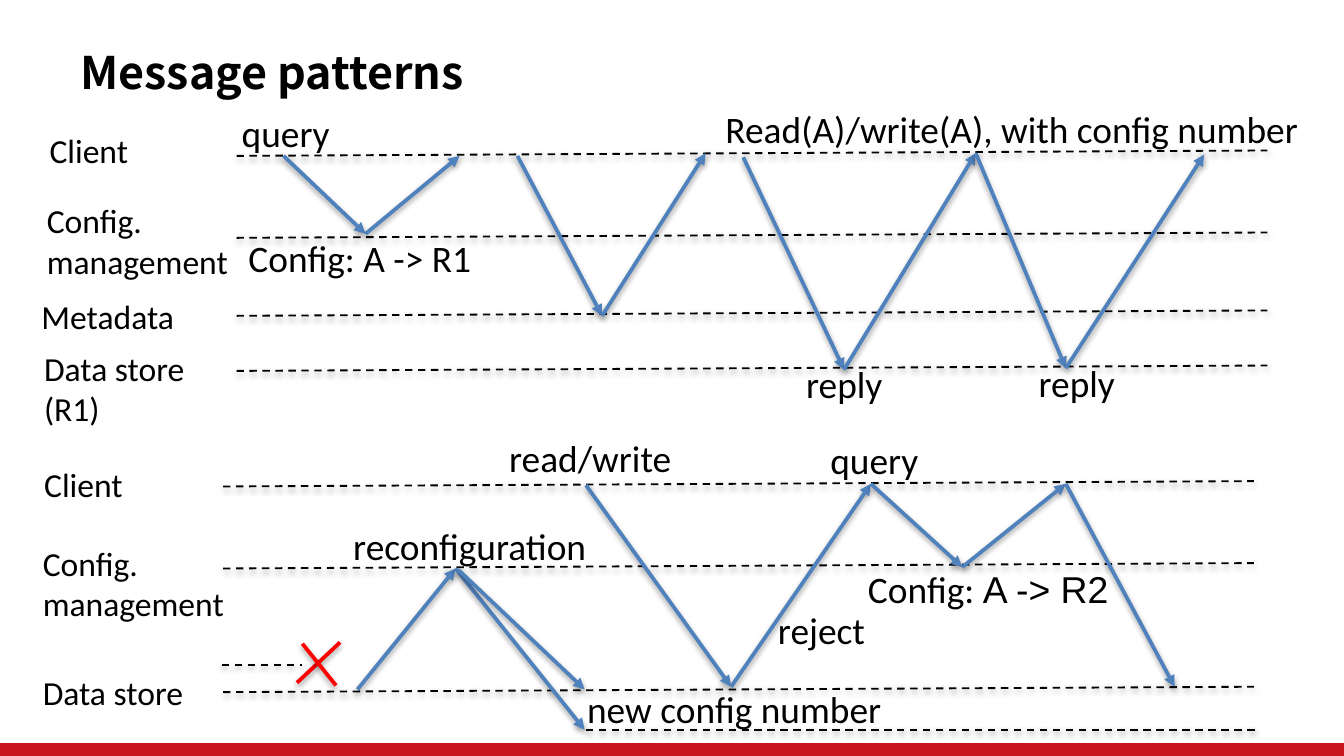
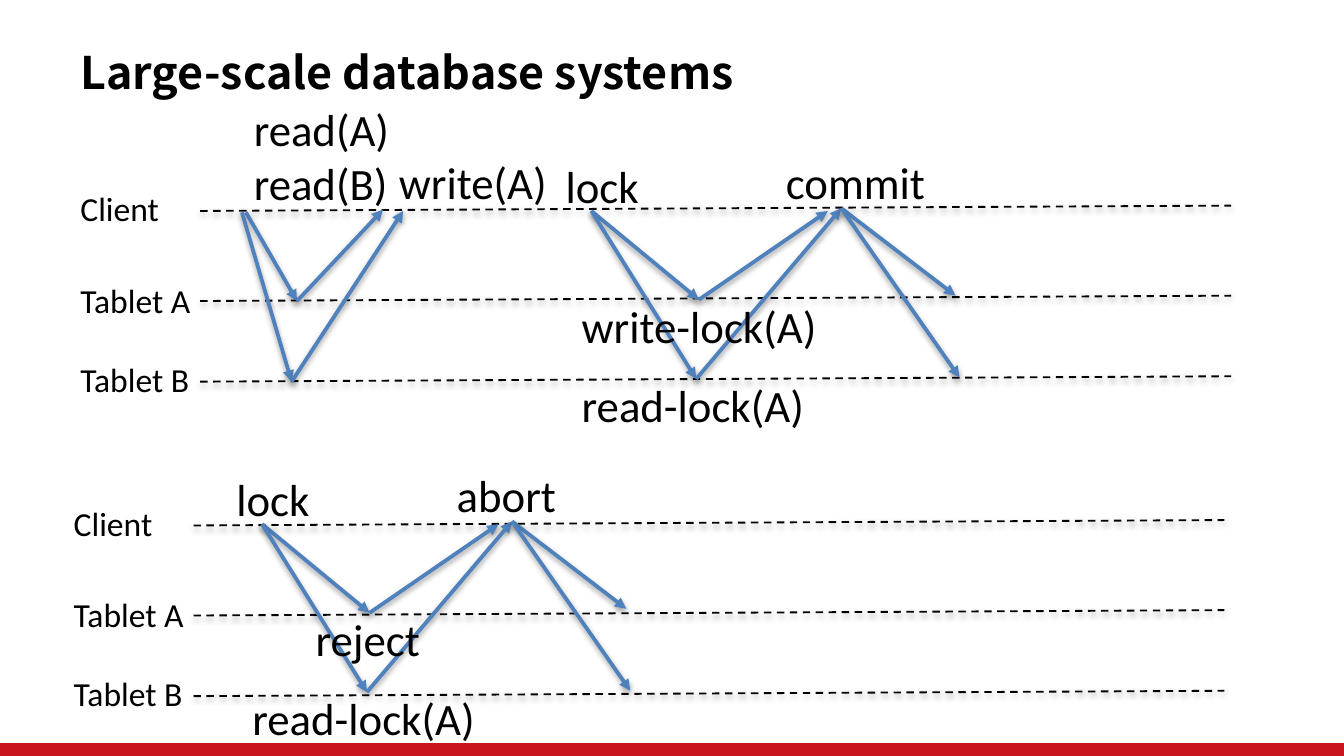
from itertools import pairwise

from lxml.etree import SubElement
from pptx import Presentation
from pptx.dml.color import RGBColor
from pptx.enum.dml import MSO_LINE
from pptx.enum.shapes import MSO_CONNECTOR, MSO_SHAPE
from pptx.enum.text import MSO_ANCHOR, MSO_AUTO_SIZE
from pptx.oxml.ns import qn
from pptx.util import Cm, Pt

BLACK = RGBColor(0x00, 0x00, 0x00)
BLUE = RGBColor(0x4F, 0x81, 0xBD)
RED = RGBColor(0xFF, 0x00, 0x00)
BAND = RGBColor(0xC9, 0x15, 0x1E)

TITLE_FONT = "Noto Sans CJK SC"
BODY_FONT = "Calibri"
LABEL = 18
UNIT = 2.54  # centimetres per drawing unit; a slide is 10 units wide
WIDE, HIGH = 10, 5.625
SPAN, RISE = 7.67, 0.04


def size(units):
    return Cm(units * UNIT)


def style(frame, points, font, bold=False):
    for para in frame.paragraphs:
        for run in para.runs:
            run.font.size = Pt(points)
            run.font.name = font
            run.font.bold = bold
            run.font.color.rgb = BLACK


def add_slide(deck, title):
    """Add a blank slide with the red footer band and a title."""
    slide = deck.slides.add_slide(deck.slide_layouts[6])
    band = slide.shapes.add_shape(
        MSO_SHAPE.RECTANGLE, 0, size(5.53), size(WIDE), size(HIGH - 5.53))
    band.shadow.inherit = False
    band.fill.solid()
    band.fill.fore_color.rgb = BAND
    band.line.fill.background()

    box = slide.shapes.add_textbox(size(0.5), size(0.29), size(6.96), size(0.49))
    frame = box.text_frame
    frame.word_wrap = False
    frame.vertical_anchor = MSO_ANCHOR.MIDDLE
    frame.text = title
    style(frame, 24, TITLE_FONT, bold=True)
    return slide


def add_text(slide, text, x, y, width, points, rows=None):
    """Add a text box as high as its rows; rows is needed when a line wraps."""
    rows = rows or text.count("\n") + 1
    height = 0.1 + rows * points * 1.22 / 72
    box = slide.shapes.add_textbox(size(x), size(y), size(width), size(height))
    frame = box.text_frame
    frame.word_wrap = True
    frame.auto_size = MSO_AUTO_SIZE.SHAPE_TO_FIT_TEXT
    frame.text = text
    style(frame, points, BODY_FONT)
    return frame


def add_line(slide, start, end, color, width):
    line = slide.shapes.add_connector(
        MSO_CONNECTOR.STRAIGHT, *map(size, start), *map(size, end))
    line.line.color.rgb = color
    line.line.width = Pt(width)
    return line


def add_dash(slide, start, end):
    line = add_line(slide, start, end, BLACK, 1)
    line.line.dash_style = MSO_LINE.DASH


def add_lane(slide, x, y):
    """Add a full-length time line, which climbs slightly to the right."""
    add_dash(slide, (x, y), (x + SPAN, y - RISE))


def add_route(slide, *points):
    """Join the points by arrows, one message each."""
    for start, end in pairwise(points):
        arrow = add_line(slide, start, end, BLUE, 2)
        SubElement(arrow.line._get_or_add_ln(), qn("a:tailEnd"), type="triangle")


def add_cross(slide):
    add_line(slide, (2.53, 4.78), (2.21, 5.08), RED, 2)
    add_line(slide, (2.25, 4.79), (2.5, 5.1), RED, 2)


def add_tablets(slide, x, y):
    """Add the lanes of a client and two tablets, with their labels."""
    for name, drop, lift in (("Client", 0, 0.22), ("Tablet A", 0.67, 0.21),
                             ("Tablet B", 1.27, 0.22)):
        add_lane(slide, x, y + drop)
        add_text(slide, name, x - 0.99, y + drop - lift, 1.08, LABEL)


def add_lock(slide, x, y, result, answer, shift):
    """Add a lock round to both tablets, its result and tablet A's answer."""
    def place(*points):
        return [(x + right, y + down) for right, down in points]

    add_route(slide, *place((0, 0), (0.8, 0.66), (1.76, 0)))
    add_route(slide, *place((1.86, -0.02), (2.71, 0.63)))
    add_route(slide, *place((0, 0), (0.78, 1.25), (1.86, -0.02), (2.74, 1.24)))
    for text, right, down, width in (
            ("lock", -0.29, -0.44, 1), (result, 1.35, -0.47, 1.3),
            (answer, shift, 0.6, 2.58), ("read-lock(A)", -0.17, 1.19, 2.58)):
        add_text(slide, text, x + right, y + down, width, 24)


def draw_patterns(deck):
    slide = add_slide(deck, "Message patterns")
    for y in (1.16, 1.77, 2.35, 2.76):
        add_lane(slide, 1.76, y)
    for y in (3.62, 4.23, 5.15):
        add_lane(slide, 1.66, y)
    add_dash(slide, (1.65, 4.95), (2.25, 4.95))
    add_dash(slide, (4.36, 5.43), (9.34, 5.43))

    add_route(slide, (2.11, 1.16), (2.72, 1.74), (3.42, 1.16))
    add_route(slide, (3.85, 1.16), (4.48, 2.35), (5.25, 1.14))
    add_route(slide, (5.53, 1.17), (6.28, 2.75), (7.26, 1.14),
              (7.93, 2.74), (8.96, 1.15))
    add_route(slide, (2.66, 5.13), (3.39, 4.23), (4.35, 5.43))
    add_route(slide, (3.41, 4.24), (4.35, 5.13))
    add_route(slide, (4.36, 3.61), (5.44, 5.11), (6.48, 3.6),
              (7.16, 4.22), (7.93, 3.6), (8.74, 5.11))
    add_cross(slide)

    for text, x, y, width, rows in (
            ("Client", 0.27, 0.92, 1.08, 1),
            ("Config.\nmanagement", 0.25, 1.44, 1.58, 2),
            ("Metadata", 0.21, 2.15, 1.21, 1),
            ("Data store (R1)", 0.23, 2.54, 1.43, 2),
            ("Client", 0.23, 3.4, 1.08, 1),
            ("Config.\nmanagement", 0.22, 3.99, 1.58, 2),
            ("Data store", 0.22, 4.95, 1.43, 1)):
        add_text(slide, text, x, y, width, LABEL, rows)

    for text, x, y, width in (
            ("query", 1.7, 0.77, 0.89),
            ("Read(A)/write(A), with config number", 5.3, 0.74, 4.53),
            ("Config: A -> R1", 1.75, 1.7, 1.98),
            ("reply", 5.9, 2.64, 0.84),
            ("reply", 7.63, 2.63, 0.84),
            ("read/write", 3.69, 3.19, 1.63),
            ("query", 6.08, 3.2, 0.89),
            ("reconfiguration", 2.53, 3.84, 1.99),
            ("reject", 5.69, 4.47, 0.99),
            ("new config number", 4.27, 5.06, 2.45)):
        add_text(slide, text, x, y, width, 20)

    frame = add_text(slide, "Config: ", 6.36, 4.16, 2.07, 20)
    frame.paragraphs[0].add_run().text = "A -> R2"
    style(frame, 20, BODY_FONT)
    frame.paragraphs[0].runs[1].font.name = "Arial"


def draw_systems(deck):
    slide = add_slide(deck, "Large-scale database systems")
    add_tablets(slide, 1.49, 1.57)
    add_route(slide, (1.83, 1.58), (2.21, 2.24), (2.85, 1.56))
    add_route(slide, (1.8, 1.58), (2.17, 2.84), (3, 1.57))
    add_text(slide, "read(A)\nread(B)", 1.79, 0.71, 1.46, 24)
    add_text(slide, "write(A)", 2.87, 1.1, 1.3, 24)
    add_lock(slide, 4.4, 1.57, "commit", "write-lock(A)", -0.17)

    add_tablets(slide, 1.44, 3.91)
    add_lock(slide, 1.95, 3.9, "abort", "reject", 0.3)


def main():
    deck = Presentation()
    deck.slide_width = size(WIDE)
    deck.slide_height = size(HIGH)
    draw_patterns(deck)
    draw_systems(deck)
    deck.save("out.pptx")


if __name__ == "__main__":
    main()
